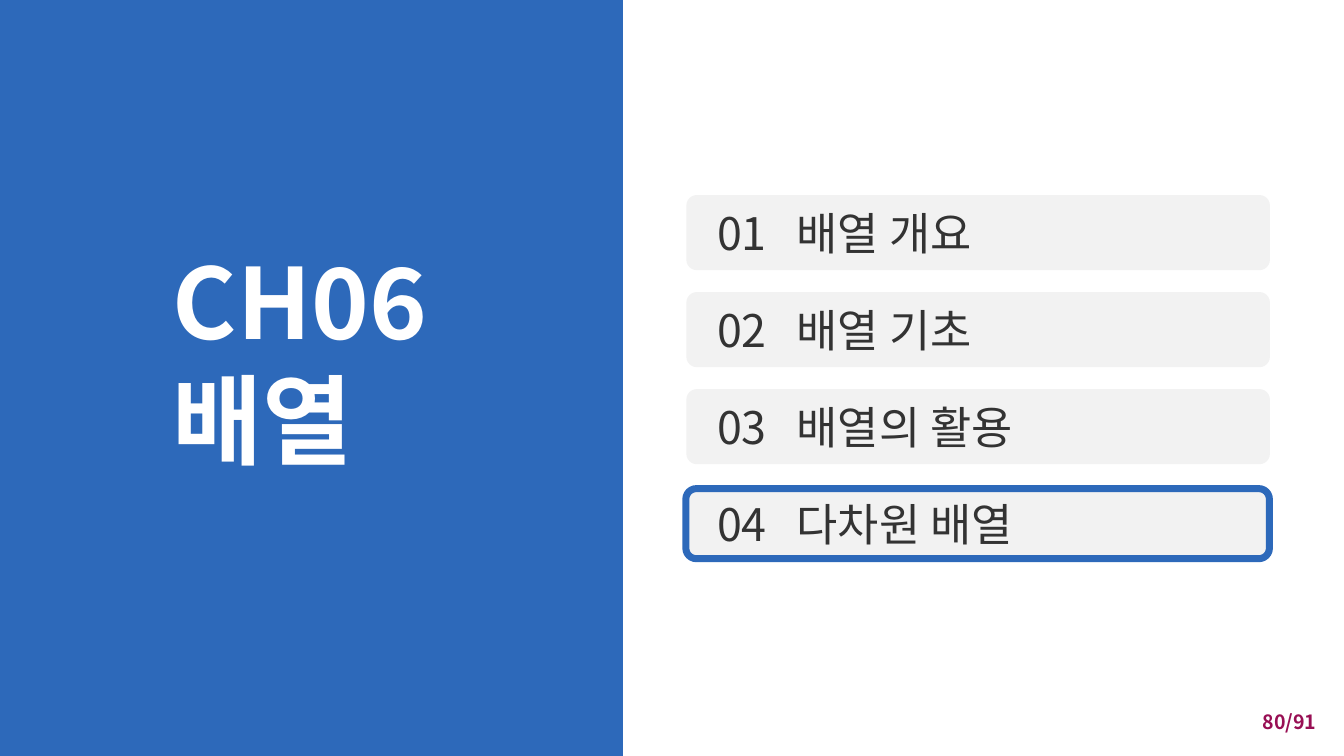
from lxml.etree import SubElement
from pptx import Presentation
from pptx.dml.color import RGBColor
from pptx.enum.shapes import MSO_SHAPE
from pptx.enum.text import MSO_ANCHOR, MSO_AUTO_SIZE, PP_ALIGN
from pptx.oxml.ns import qn
from pptx.util import Inches, Pt

FONT = "Noto Sans CJK KR"
COLORS = {
    "blue": "2D69BA",
    "white": "FFFFFF",
    "card": "F2F2F2",
    "text": "333333",
    "page": "980F54",
}
SECTIONS = ["배열 개요", "배열 기초", "배열의 활용", "다차원 배열"]
CURRENT = 3

CARD_LEFT, CARD_TOP, CARD_W, CARD_H = 13.62, 3.87, 11.58, 1.49
CARD_PITCH = 1.925


def rgb(name):
    return RGBColor.from_string(COLORS[name])


def add_box(s, kind, x, y, w, h, fill=None, line=None, line_width=10, radius=None):
    sp = s.shapes.add_shape(kind, Inches(x), Inches(y), Inches(w), Inches(h))
    sp.shadow.inherit = False
    if radius is not None:
        sp.adjustments[0] = radius
    if fill:
        sp.fill.solid()
        sp.fill.fore_color.rgb = rgb(fill)
    else:
        sp.fill.background()
    if line:
        sp.line.color.rgb = rgb(line)
        sp.line.width = Pt(line_width)
    else:
        sp.line.fill.background()


def add_run(p, text, size, color, bold=False):
    r = p.add_run()
    r.text = text
    r.font.name = FONT
    r.font.size = Pt(size)
    r.font.bold = bold
    r.font.color.rgb = rgb(color)
    SubElement(r.font._element, qn("a:ea"), typeface=FONT)


def add_label(s, lines, x, y, w, h, size, color, bold=False):
    """Middle-anchored text that grows with its content."""
    tf = s.shapes.add_textbox(Inches(x), Inches(y), Inches(w), Inches(h)).text_frame
    tf.word_wrap = False
    tf.auto_size = MSO_AUTO_SIZE.SHAPE_TO_FIT_TEXT
    tf.vertical_anchor = MSO_ANCHOR.MIDDLE
    tf.margin_left = tf.margin_right = Inches(0.08)
    tf.margin_top = tf.margin_bottom = Inches(0.08)
    for i, text in enumerate(lines):
        p = tf.add_paragraph() if i else tf.paragraphs[0]
        add_run(p, text, size, color, bold)


def add_page_number(s, text):
    sp = s.shapes.add_textbox(Inches(24.62), Inches(14.04), Inches(1.6), Inches(0.62))
    tf = sp.text_frame
    tf.word_wrap = True
    p = tf.paragraphs[0]
    p.alignment = PP_ALIGN.RIGHT
    add_run(p, text, 28, "page", bold=True)


def add_section(s, index, title):
    y = CARD_TOP + index * CARD_PITCH
    add_box(s, MSO_SHAPE.ROUNDED_RECTANGLE, CARD_LEFT, y, CARD_W, CARD_H,
            fill="card", radius=0.14)
    add_label(s, [f"{index + 1:02d}"], 14.15, y + 0.15, 1.25, 1.18, 64, "text")
    title_w = 3.76 if index < 2 else 4.6
    add_label(s, [title], 15.73, y + 0.15, title_w, 1.18, 64, "text")


def main():
    prs = Presentation()
    prs.slide_width, prs.slide_height = Inches(26.67), Inches(15)
    s = prs.slides.add_slide(prs.slide_layouts[6])

    add_page_number(s, "80/91")

    # Chapter panel
    add_box(s, MSO_SHAPE.RECTANGLE, -0.01, -0.02, 12.37, 15.04, fill="blue")
    add_label(s, ["CH06", "배열"], 3.35, 4.82, 5.25, 4.63, 140, "white", bold=True)

    # Section list
    for i, title in enumerate(SECTIONS):
        add_section(s, i, title)

    # Frame around the current section
    frame_top = CARD_TOP + CURRENT * CARD_PITCH + 0.05
    add_box(s, MSO_SHAPE.ROUNDED_RECTANGLE, 13.61, frame_top, CARD_W, 1.39,
            line="blue", radius=0.15)

    prs.save("out.pptx")


if __name__ == "__main__":
    main()
